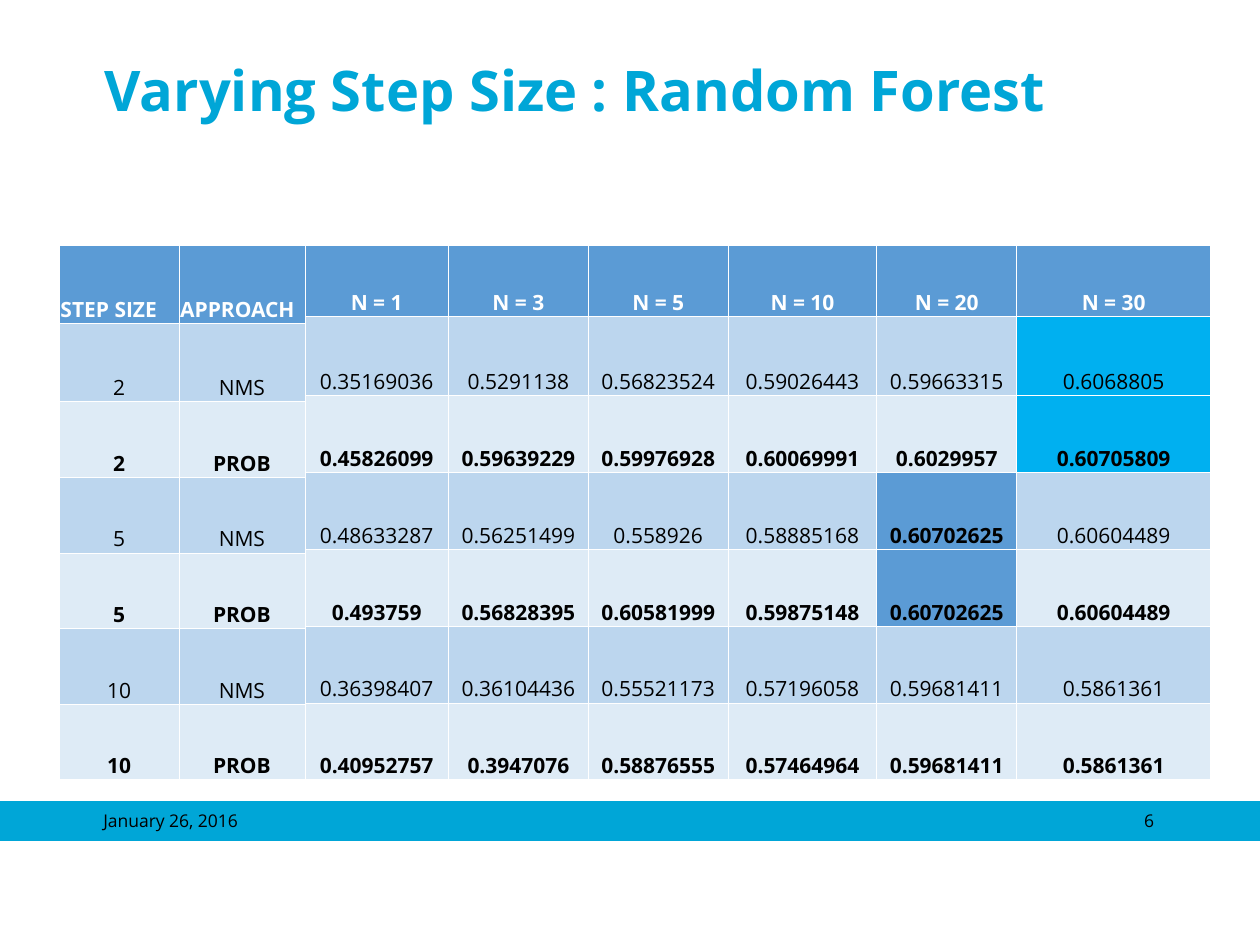
from lxml import etree
from pptx import Presentation
from pptx.dml.color import RGBColor
from pptx.enum.shapes import MSO_SHAPE
from pptx.enum.text import MSO_ANCHOR, PP_ALIGN
from pptx.oxml.ns import qn
from pptx.util import Inches, Pt

LEFT, CENTER, RIGHT = PP_ALIGN.LEFT, PP_ALIGN.CENTER, PP_ALIGN.RIGHT
TOP, BOTTOM = MSO_ANCHOR.TOP, MSO_ANCHOR.BOTTOM
RECTANGLE = MSO_SHAPE.RECTANGLE
TITLE_ONLY = 5
FONT = "Open Sans"
ACCENT, HEADER, HIGHLIGHT = "00A6D7", "5B9BD5", "00B0F0"
BANDS = ("BCD6EE", "DEEBF6")
WHITE, BLACK = "FFFFFF", "000000"

SETTINGS = [["STEP SIZE", "APPROACH"]] + [
    [step, approach] for step in ("2", "5", "10") for approach in ("NMS", "PROB")
]
SCORES = [
    ["N = 1", "N = 3", "N = 5", "N = 10", "N = 20", "N = 30"],
    ["0.35169036", "0.5291138", "0.56823524", "0.59026443", "0.59663315", "0.6068805"],
    ["0.45826099", "0.59639229", "0.59976928", "0.60069991", "0.6029957", "0.60705809"],
    ["0.48633287", "0.56251499", "0.558926", "0.58885168", "0.60702625", "0.60604489"],
    ["0.493759", "0.56828395", "0.60581999", "0.59875148", "0.60702625", "0.60604489"],
    ["0.36398407", "0.36104436", "0.55521173", "0.57196058", "0.59681411", "0.5861361"],
    ["0.40952757", "0.3947076", "0.58876555", "0.57464964", "0.59681411", "0.5861361"],
]
BEST = {(1, 5): HIGHLIGHT, (2, 5): HIGHLIGHT, (3, 4): HEADER, (4, 4): HEADER}
BOLD_CELLS = {(3, 4)}


def rgb(color):
    """Turn a hex string into a colour."""
    return RGBColor.from_string(color)


def write(tf, text, size, color, bold=False, align=LEFT):
    """Write one formatted paragraph into a text frame."""
    p = tf.paragraphs[0]
    p.text = text
    p.alignment = align
    p.font.name = FONT
    p.font.size = Pt(size)
    p.font.bold = bold
    p.font.color.rgb = rgb(color)


def set_frame(tf):
    """Give a text frame the slide's common margins and wrapping."""
    tf.word_wrap = True
    tf.vertical_anchor = TOP
    tf.margin_left = tf.margin_right = 0
    tf.margin_top = tf.margin_bottom = Inches(0.05)


def set_borders(cell, color, width):
    """Draw a line on all four sides of a cell."""
    tcPr = cell._tc.get_or_add_tcPr()
    for i, side in enumerate(("a:lnL", "a:lnR", "a:lnT", "a:lnB")):
        ln = etree.Element(qn(side), w=str(Pt(width)))
        fill = etree.SubElement(ln, qn("a:solidFill"))
        etree.SubElement(fill, qn("a:srgbClr"), val=color)
        tcPr.insert(i, ln)


def add_title(s, text, x, y, w, h):
    """Place and format the slide title."""
    title = s.shapes.title
    title.left, title.top, title.width, title.height = map(Inches, (x, y, w, h))
    set_frame(title.text_frame)
    write(title.text_frame, text, 32, ACCENT, bold=True)


def add_footer(s, date, number, x, y, w, h):
    """Add the footer band with the date and the slide number."""
    band = s.shapes.add_shape(RECTANGLE, *map(Inches, (x, y, w, h)))
    band.shadow.inherit = False
    band.fill.solid()
    band.fill.fore_color.rgb = rgb(ACCENT)
    band.line.color.rgb = rgb(ACCENT)
    band.line.width = Pt(0.75)
    label_w = 0.208 * w
    for text, share, align in ((date, 0.082, LEFT), (number, 0.708, RIGHT)):
        box = s.shapes.add_textbox(
            *map(Inches, (x + share * w, y + 0.02, label_w, h)))
        set_frame(box.text_frame)
        write(box.text_frame, text, 10, BLACK, align=align)


def add_grid(s, data, x, y, cols, rows, header_align=CENTER, fills={}, bold_cells=()):
    """Add a banded table with a header row and bold even rows."""
    box = map(Inches, (x, y, sum(cols), sum(rows)))
    table = s.shapes.add_table(len(rows), len(cols), *box).table
    for column, width in zip(table.columns, cols):
        column.width = Inches(width)
    for r, (row, height) in enumerate(zip(data, rows)):
        table.rows[r].height = Inches(height)
        band = BANDS[(r - 1) % 2] if r else HEADER
        for c, text in enumerate(row):
            cell = table.cell(r, c)
            cell.fill.solid()
            cell.fill.fore_color.rgb = rgb(fills.get((r, c), band))
            cell.margin_left = cell.margin_right = cell.margin_top = Inches(0.01)
            cell.margin_bottom = 0
            cell.vertical_anchor = BOTTOM
            write(cell.text_frame, text, 12, BLACK if r else WHITE,
                  bold=r % 2 == 0 or (r, c) in bold_cells,
                  align=CENTER if r else header_align)
            set_borders(cell, WHITE, 0.5)


def build():
    """Build the slide and save it."""
    prs = Presentation()
    prs.slide_width, prs.slide_height = Inches(10), Inches(7.5)
    s = prs.slides.add_slide(prs.slide_layouts[TITLE_ONLY])
    add_footer(s, "January 26, 2016", "6", 0, 6.36, 10, 0.31)
    add_title(s, "Varying Step Size : Random Forest", 0.83, 0.39, 8.5, 1.25)
    add_grid(s, SCORES, 2.42, 1.95, [1.14, 1.11, 1.11, 1.18, 1.11, 1.54],
             [0.56, 0.63] + [0.61] * 5, fills=BEST, bold_cells=BOLD_CELLS)
    add_grid(s, SETTINGS, 0.47, 1.95, [0.95, 1], [0.62] * 2 + [0.6] * 5,
             header_align=LEFT)
    prs.save("out.pptx")


build()
